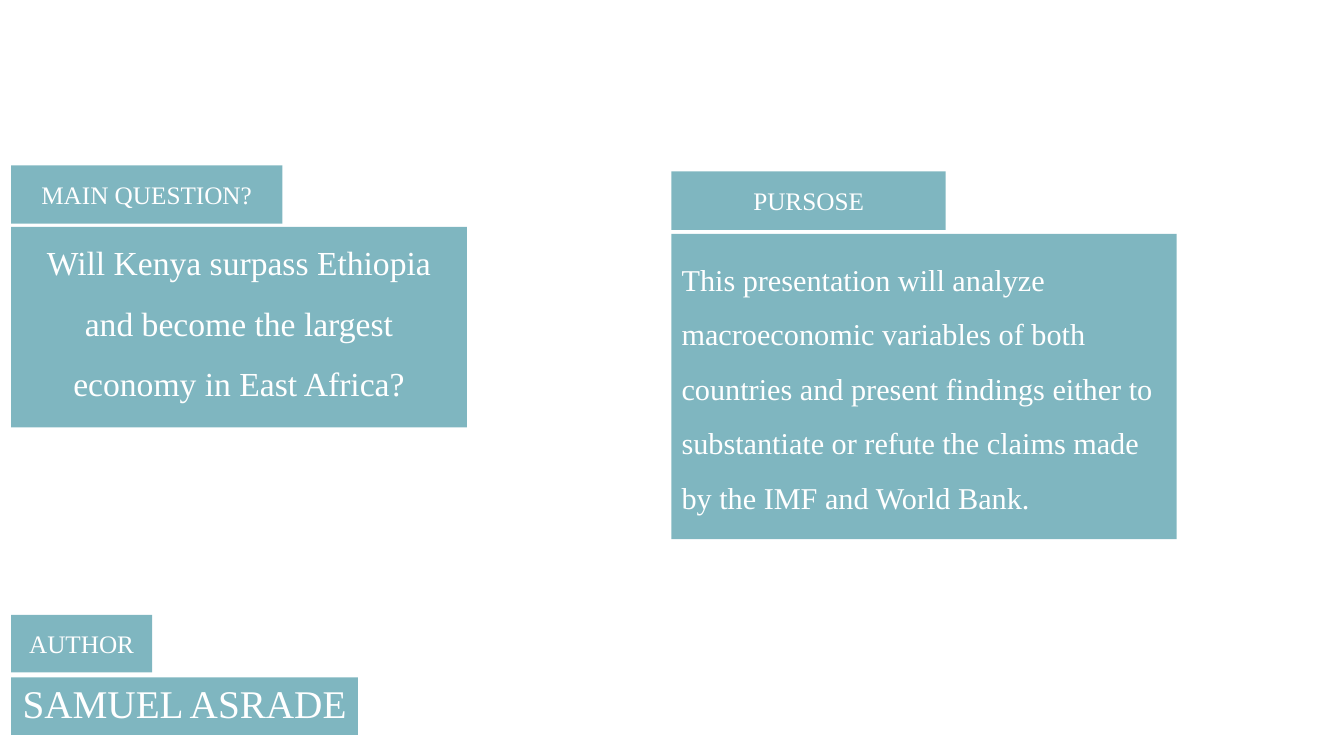
from dataclasses import dataclass

from lxml import etree
from pptx import Presentation
from pptx import util as u
from pptx.dml.color import RGBColor
from pptx.enum import shapes, text
from pptx.oxml.ns import qn


@dataclass(frozen=True)
class Theme:
    font: str = "Times New Roman"
    panel: RGBColor = RGBColor(0x00, 0x6F, 0x83)
    panel_alpha: int = 50000
    ink: RGBColor = RGBColor(0xFF, 0xFF, 0xFF)
    label: float = 18
    purpose: float = 21.6
    question: float = 24
    author: float = 28


theme = Theme()
center, left = text.PP_ALIGN.CENTER, text.PP_ALIGN.LEFT
middle, bottom = text.MSO_ANCHOR.MIDDLE, text.MSO_ANCHOR.BOTTOM
label_margins = (0.1, 0.05, 0.1, 0.05)
statement_margins = (0.1, 0.08, 0.1, 0.24)
author_margins = (0.1, 0.1, 0.1, 0.1)


def style_panel(shape, box):
    shape.left, shape.top, shape.width, shape.height = (u.Inches(n) for n in box)
    shape.fill.solid()
    shape.fill.fore_color.rgb = theme.panel
    color = shape.fill._xPr.find(qn("a:solidFill"))[0]
    etree.SubElement(color, qn("a:alpha"), val=str(theme.panel_alpha))
    shape.line.fill.background()


def write_panel(shape, words, size, align, anchor, margins, spacing=1.0, before=0):
    frame = shape.text_frame
    frame.word_wrap = True
    frame.auto_size = text.MSO_AUTO_SIZE.NONE
    frame.vertical_anchor = anchor
    frame.margin_left, frame.margin_top, frame.margin_right, frame.margin_bottom = (
        u.Inches(n) for n in margins
    )
    paragraph = frame.paragraphs[0]
    paragraph.alignment = align
    paragraph.line_spacing = spacing
    paragraph.space_before = u.Pt(before)
    run = paragraph.add_run()
    run.text = words
    run.font.name = theme.font
    run.font.size = u.Pt(size)
    run.font.bold = False
    run.font.color.rgb = theme.ink
    run._r.get_or_add_rPr().set("cap", "none")


presentation = Presentation()
presentation.slide_width = u.Inches(13.33)
presentation.slide_height = u.Inches(7.5)
slide = presentation.slides.add_slide(presentation.slide_layouts.get_by_name("Section Header"))

purpose = slide.shapes.title
style_panel(purpose, (6.66, 2.32, 5.01, 3.03))
write_panel(
    purpose,
    "This presentation will analyze macroeconomic variables of both countries and present "
    "findings either to substantiate or refute the claims made by the IMF and World Bank.",
    theme.purpose, left, bottom, statement_margins, spacing=1.5,
)

author = slide.placeholders[1]
style_panel(author, (0.11, 6.72, 3.44, 0.57))
write_panel(author, "SAMUEL ASRADE", theme.author, center, middle, author_margins, 0.9, 6)

panels = [
    ("Will Kenya surpass Ethiopia and become the largest economy in East Africa?",
     (0.11, 2.25, 4.52, 1.99), theme.question, bottom, statement_margins, 1.5),
    ("MAIN QUESTION?", (0.11, 1.64, 2.69, 0.58), theme.label, middle, label_margins, 1.0),
    ("AUTHOR", (0.11, 6.1, 1.4, 0.57), theme.label, middle, label_margins, 1.0),
    ("PURSOSE", (6.66, 1.7, 2.72, 0.58), theme.label, middle, label_margins, 1.0),
]
for words, box, size, anchor, margins, spacing in panels:
    panel = slide.shapes.add_shape(shapes.MSO_SHAPE.RECTANGLE, *(u.Inches(n) for n in box))
    panel.shadow.inherit = False
    style_panel(panel, box)
    write_panel(panel, words, size, center, anchor, margins, spacing)

presentation.save("out.pptx")
